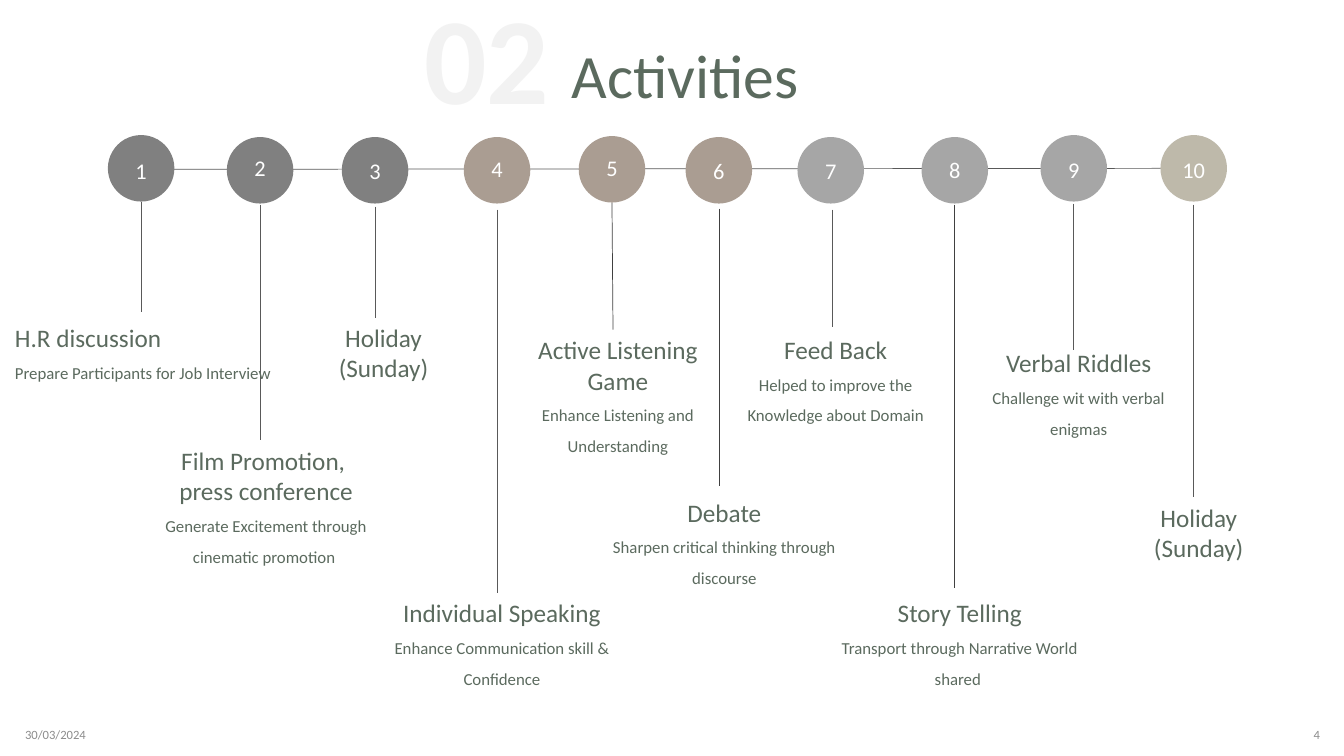
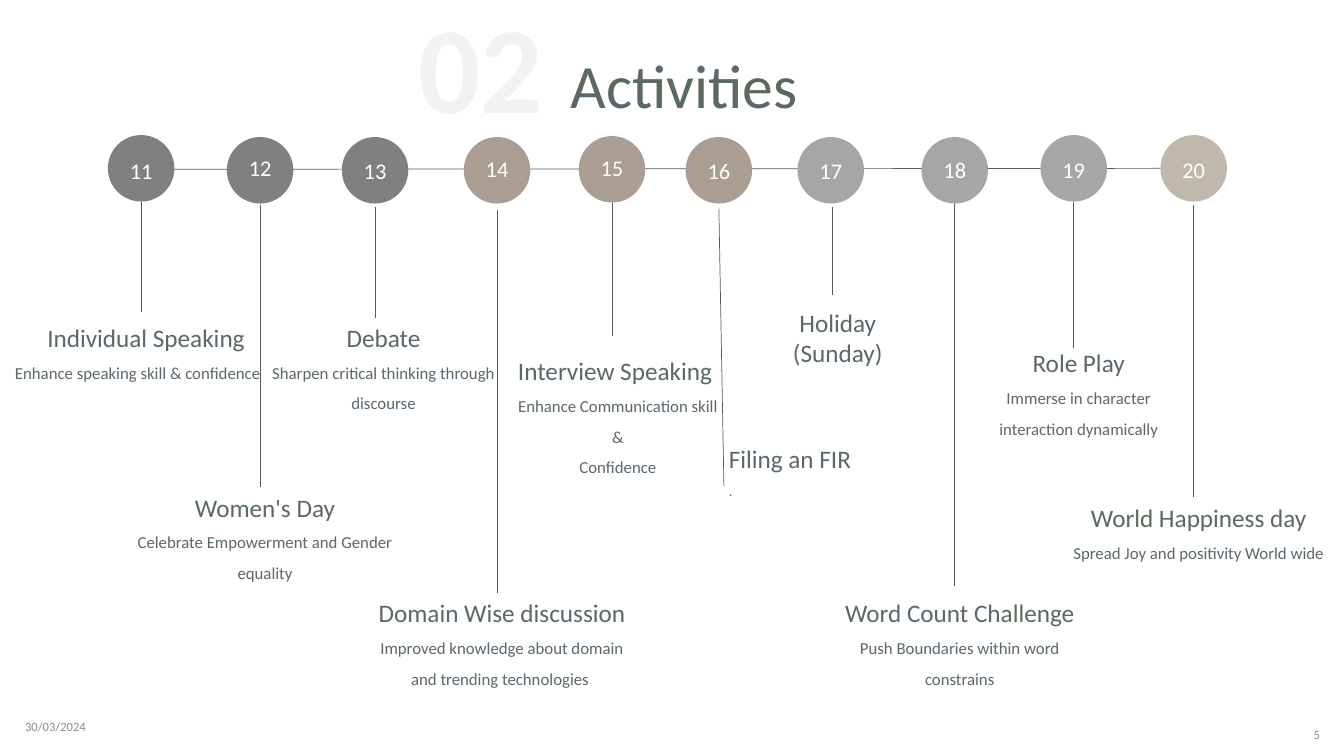
"""Build two timeline slides of numbered activities."""
from dataclasses import dataclass

from lxml import etree
from pptx import Presentation
from pptx.dml.color import RGBColor
from pptx.enum import shapes, text
from pptx.oxml.ns import qn
from pptx.util import Inches, Pt

FONT = "Calibri"
GREEN, WHITE, PALE, MUTED = "5B6A5E", "FFFFFF", "F2F2F2", "8C8C8C"
DARK_GRAY, TAUPE, GRAY, SAND = "808080", "AA9D92", "A6A6A6", "BEB9AA"
LINE, DARK_LINE = "595959", "404040"
LEFT, CENTER, RIGHT = text.PP_ALIGN.LEFT, text.PP_ALIGN.CENTER, text.PP_ALIGN.RIGHT
TOP, MIDDLE = text.MSO_ANCHOR.TOP, text.MSO_ANCHOR.MIDDLE
DIAMETER = 0.66
LABEL_WIDTH = 0.83

# center, circle top, fill, label top, stem position
NODES = [
    (1.4, 1.34, DARK_GRAY, 1.51, 1.4),
    (2.58, 1.36, DARK_GRAY, 1.48, 2.58),
    (3.72, 1.36, DARK_GRAY, 1.51, 3.72),
    (4.93, 1.36, TAUPE, 1.49, 4.93),
    (6.07, 1.35, TAUPE, 1.48, 6.07),
    (7.13, 1.36, TAUPE, 1.51, 7.13),
    (8.24, 1.36, GRAY, 1.51, 8.26),
    (9.47, 1.36, GRAY, 1.5, 9.47),
    (10.65, 1.34, GRAY, 1.5, 10.65),
    (11.84, 1.34, SAND, 1.5, 11.84),
]


@dataclass
class Activity:
    """One timeline entry: its stem, its text box and its wording."""
    stem: tuple
    box: tuple
    headings: list
    details: list
    heading_align: int = CENTER
    detail_align: int = CENTER
    detail_size: int = 12
    lean: float = 0
    line: str = LINE


HOLIDAY = ["Holiday", "(Sunday)"]

FIRST_TEN = [
    Activity((2, 3.1), (0.05, 3.15, 2.7, 1.01), ["H.R discussion"],
             ["Prepare Participants for Job Interview"], LEFT, LEFT),
    Activity((2.03, 4.37), (1.24, 4.37, 2.7, 1.31), ["Film Promotion, ", "press conference"],
             ["Generate Excitement through cinematic promotion "]),
    Activity((2.05, 3.15), (2.58, 3.15, 2.35, 0.71), HOLIDAY, []),
    Activity((2.08, 5.88), (3.58, 5.88, 2.7, 1.01), ["Individual Speaking"],
             ["Enhance Communication skill &", "Confidence"]),
    Activity((2.01, 3.27), (5, 3.27, 2.16, 1.31), ["Active Listening Game"],
             ["Enhance Listening and Understanding"], lean=0.01, line=DARK_LINE),
    Activity((2.07, 4.82), (5.93, 4.88, 2.41, 1.01), ["Debate"],
             ["Sharpen critical thinking through discourse"], line=DARK_LINE),
    Activity((2.08, 3.24), (7.16, 3.27, 2.16, 1.01), ["Feed Back"],
             ["Helped to improve the Knowledge about Domain"]),
    Activity((2.03, 5.83), (8.12, 5.88, 2.7, 1.01), ["Story Telling"],
             ["Transport through Narrative World shared "], line=DARK_LINE),
    Activity((2.02, 3.47), (9.57, 3.4, 2.16, 1.01), ["Verbal Riddles"],
             ["Challenge wit with verbal enigmas"]),
    Activity((2.03, 4.93), (10.49, 4.93, 2.7, 0.71), HOLIDAY, []),
]

SECOND_TEN = [
    Activity((2, 3.1), (0.05, 3.15, 2.7, 1.01), ["Individual Speaking"],
             ["Enhance speaking skill & confidence"], detail_align=LEFT),
    Activity((2.03, 4.83), (1.23, 4.83, 2.7, 1.01), ["Women's Day"],
             ["Celebrate Empowerment and Gender equality"]),
    Activity((2.05, 3.15), (2.58, 3.15, 2.35, 1.01), ["Debate"],
             ["Sharpen critical thinking through discourse"]),
    Activity((2.08, 5.88), (3.58, 5.88, 2.7, 1.31), ["Domain Wise discussion"],
             ["Improved knowledge about domain and trending technologies "]),
    Activity((2.01, 3.33), (5, 3.48, 2.16, 1.92), ["Interview Speaking "],
             ["Enhance Communication skill &", "Confidence"]),
    Activity((2.07, 4.82), (7.13, 4.35, 2.21, 0.66), ["Filing an FIR"], ["."],
             LEFT, LEFT, 10, lean=0.05),
    Activity((2.05, 2.93), (7.18, 3, 2.16, 0.71), HOLIDAY, []),
    Activity((2.01, 5.81), (8.12, 5.88, 2.7, 1.01), ["Word Count Challenge"],
             ["Push Boundaries within word constrains"]),
    Activity((2, 3.45), (9.57, 3.4, 2.16, 1.01), ["Role Play"],
             ["Immerse in character interaction dynamically"]),
    Activity((2.03, 4.93), (10.49, 4.93, 2.7, 1.01), ["World Happiness day"],
             ["Spread Joy and positivity World wide"]),
]


def color(value):
    return RGBColor.from_string(value)


def add_box(slide, box, anchor=TOP, grow=False):
    frame = slide.shapes.add_textbox(*map(Inches, box)).text_frame
    frame.word_wrap = True
    frame.vertical_anchor = anchor
    if grow:
        frame.auto_size = text.MSO_AUTO_SIZE.SHAPE_TO_FIT_TEXT
    return frame


def write(frame, words, size, fill, align=LEFT, spacing=None, bold=False):
    paragraph = frame.paragraphs[0]
    if paragraph.runs:
        paragraph = frame.add_paragraph()
    paragraph.alignment = align
    if spacing:
        paragraph.line_spacing = spacing
    run = paragraph.add_run()
    run.text = words
    run.font.name = FONT
    run.font.size = Pt(size)
    run.font.bold = bold
    run.font.color.rgb = color(fill)


def add_line(slide, start, end, stroke=LINE):
    line = slide.shapes.add_connector(
        shapes.MSO_CONNECTOR.STRAIGHT, *map(Inches, start + end))
    line.line.color.rgb = color(stroke)
    line.line.width = Pt(0.5)
    etree.SubElement(line._element.spPr, qn("a:effectLst"))


def add_node(slide, node, number):
    center, top, fill, label_top, _ = node
    circle = slide.shapes.add_shape(
        shapes.MSO_SHAPE.OVAL, Inches(center - DIAMETER / 2), Inches(top),
        Inches(DIAMETER), Inches(DIAMETER))
    circle.shadow.inherit = False
    circle.fill.solid()
    circle.fill.fore_color.rgb = color(fill)
    circle.line.fill.background()
    label = add_box(slide, (center - LABEL_WIDTH / 2, label_top, LABEL_WIDTH, 0.37), grow=True)
    write(label, str(number), 16, WHITE, CENTER)


def add_activity_text(slide, activity):
    frame = add_box(slide, activity.box, grow=True)
    frame.margin_right = 0
    for heading in activity.headings:
        write(frame, heading, 18, GREEN, activity.heading_align)
    for detail in activity.details:
        write(frame, detail, activity.detail_size, GREEN, activity.detail_align, 1.5)


def add_timeline(slide, activities, first_number):
    add_line(slide, (1.37, 1.68), (11.97, 1.67))
    for node, activity in zip(NODES, activities):
        stem = node[-1]
        start, end = activity.stem
        add_line(slide, (stem, start), (stem + activity.lean, end), activity.line)
    for number, (node, activity) in enumerate(zip(NODES, activities), first_number):
        add_node(slide, node, number)
        add_activity_text(slide, activity)


def add_heading(slide, title_box, section_at):
    write(add_box(slide, title_box, MIDDLE), "Activities", 44, GREEN, spacing=0.9)
    section = add_box(slide, section_at + (1.85, 1.58), grow=True)
    write(section, "02", 88, PALE, bold=True)


def add_footer(slide, page, date_top):
    write(add_box(slide, (0.15, date_top, 3, 0.4), MIDDLE), "30/03/2024", 9, MUTED)
    write(add_box(slide, (10.19, 7.09, 3, 0.4), MIDDLE), str(page), 9, MUTED, RIGHT)


def main():
    presentation = Presentation()
    presentation.slide_width = Inches(13.33)
    presentation.slide_height = Inches(7.5)
    pages = [
        (FIRST_TEN, 1, (5.57, 0.26, 6.5, 1.03), (4.11, -0.23), 4, 7.09),
        (SECOND_TEN, 11, (5.56, 0.37, 7.64, 1.02), (4.05, -0.15), 5, 7.01),
    ]
    for activities, first_number, title_box, section_at, page, date_top in pages:
        slide = presentation.slides.add_slide(presentation.slide_layouts[6])
        add_heading(slide, title_box, section_at)
        add_timeline(slide, activities, first_number)
        add_footer(slide, page, date_top)
    presentation.save("out.pptx")


if __name__ == "__main__":
    main()
